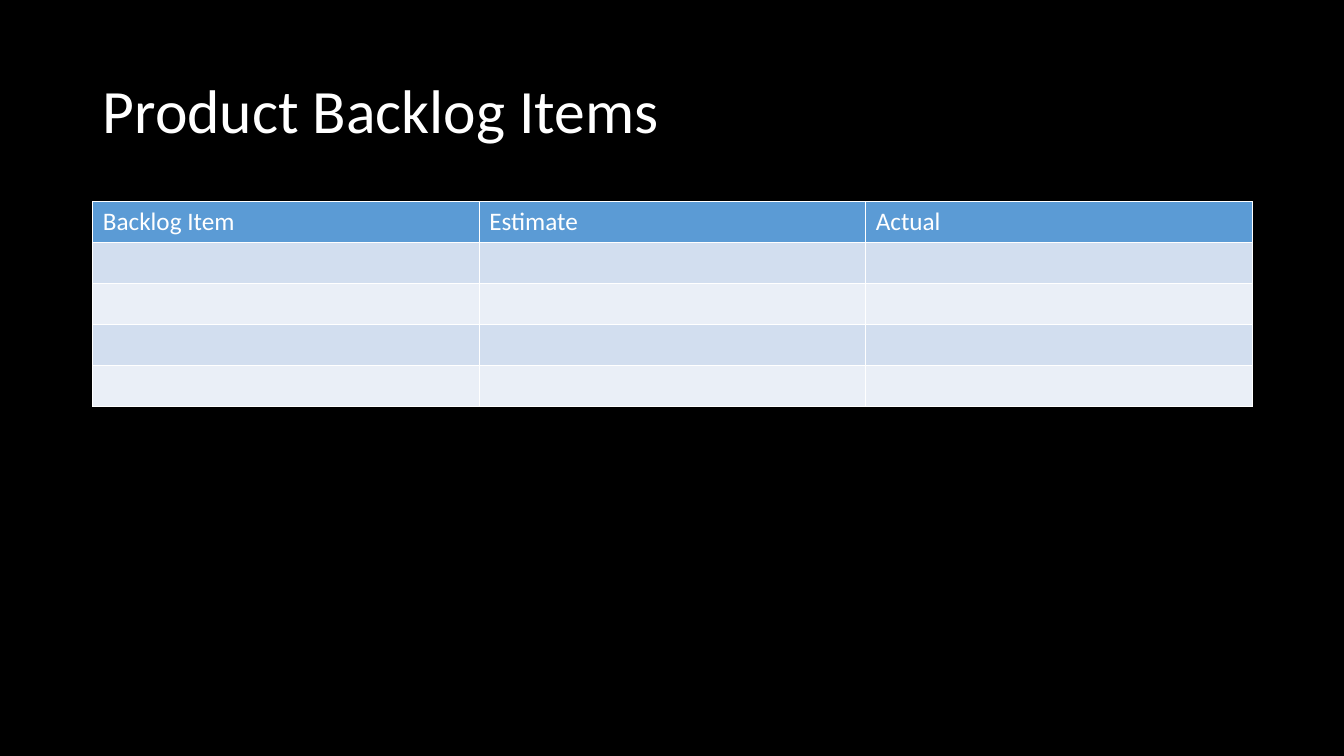
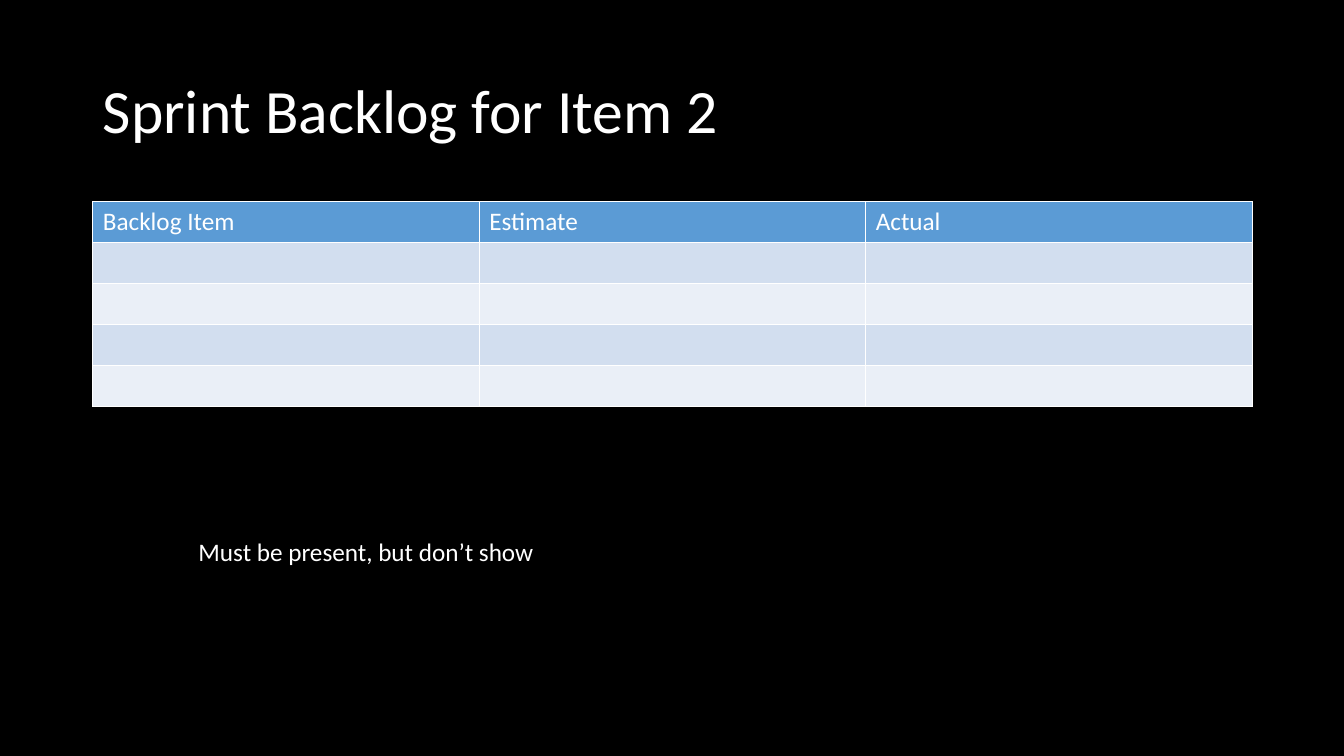
"""Build two backlog slides, each with a title and an empty tracking table."""
import pptx
import pptx.dml.color
import pptx.enum.text
import pptx.oxml
import pptx.oxml.ns
import pptx.util

Inches = pptx.util.Inches
Pt = pptx.util.Pt

FONT = "Calibri"
BLACK, WHITE = "000000", "FFFFFF"
HEADER_FILL = "5B9BD5"
BAND_FILLS = ("D2DEEF", "EAEFF7")

HEADERS = ("Backlog Item", "Estimate", "Actual")
BODY_ROWS = 4
SLIDES = (
    {"title": "Product Backlog Items"},
    {"title": "Sprint Backlog for Item 2", "note": "Must be present, but don’t show"},
)

LEFT, WIDTH = 0.92, 11.5
TITLE_BOX = (LEFT, 0.4, WIDTH, 1.45)
TABLE_BOX = (LEFT, 2, WIDTH, 2.03)
NOTE_BOX = (1.87, 5.27, 3.57, 0.4)


def rgb(value):
    return pptx.dml.color.RGBColor.from_string(value)


def set_fill(fill, color):
    fill.solid()
    fill.fore_color.rgb = rgb(color)


def style_text(p, size):
    for r in p.runs:
        r.font.name = FONT
        r.font.size = Pt(size)
        r.font.bold = False
        r.font.color.rgb = rgb(WHITE)


def add_borders(cell, color, width):
    tc_pr = cell._tc.get_or_add_tcPr()
    for side in "LRTB":
        tc_pr.append(pptx.oxml.parse_xml(
            f'<a:ln{side} {pptx.oxml.ns.nsdecls("a")} w="{Pt(width)}">'
            f'<a:solidFill><a:srgbClr val="{color}"/></a:solidFill></a:ln{side}>'))


def add_title(slide, text):
    sp = slide.shapes.title
    sp.left, sp.top, sp.width, sp.height = map(Inches, TITLE_BOX)
    tf = sp.text_frame
    tf.text = text
    tf.auto_size = pptx.enum.text.MSO_AUTO_SIZE.NONE
    tf.vertical_anchor = pptx.enum.text.MSO_ANCHOR.MIDDLE
    p = tf.paragraphs[0]
    p.alignment = pptx.enum.text.PP_ALIGN.LEFT
    p.line_spacing = 0.9
    style_text(p, 44)


def add_backlog_table(slide):
    shape = slide.shapes.add_table(BODY_ROWS + 1, len(HEADERS), *map(Inches, TABLE_BOX))
    table = shape.table
    for i, row in enumerate(table.rows):
        color = BAND_FILLS[(i - 1) % 2] if i else HEADER_FILL
        for cell in row.cells:
            add_borders(cell, WHITE, 1)
            set_fill(cell.fill, color)
    for cell, text in zip(table.rows[0].cells, HEADERS):
        cell.text_frame.text = text
        style_text(cell.text_frame.paragraphs[0], 18)


def add_note(slide, text):
    tf = slide.shapes.add_textbox(*map(Inches, NOTE_BOX)).text_frame
    tf.text = text
    tf.word_wrap = False
    tf.auto_size = pptx.enum.text.MSO_AUTO_SIZE.SHAPE_TO_FIT_TEXT
    style_text(tf.paragraphs[0], 18)


def main():
    prs = pptx.Presentation()
    prs.slide_width, prs.slide_height = Inches(13.33), Inches(7.5)
    set_fill(prs.slide_master.background.fill, BLACK)
    title_only = prs.slide_layouts.get_by_name("Title Only")
    for content in SLIDES:
        slide = prs.slides.add_slide(title_only)
        add_title(slide, content["title"])
        add_backlog_table(slide)
        if "note" in content:
            add_note(slide, content["note"])
    prs.save("out.pptx")


if __name__ == "__main__":
    main()
